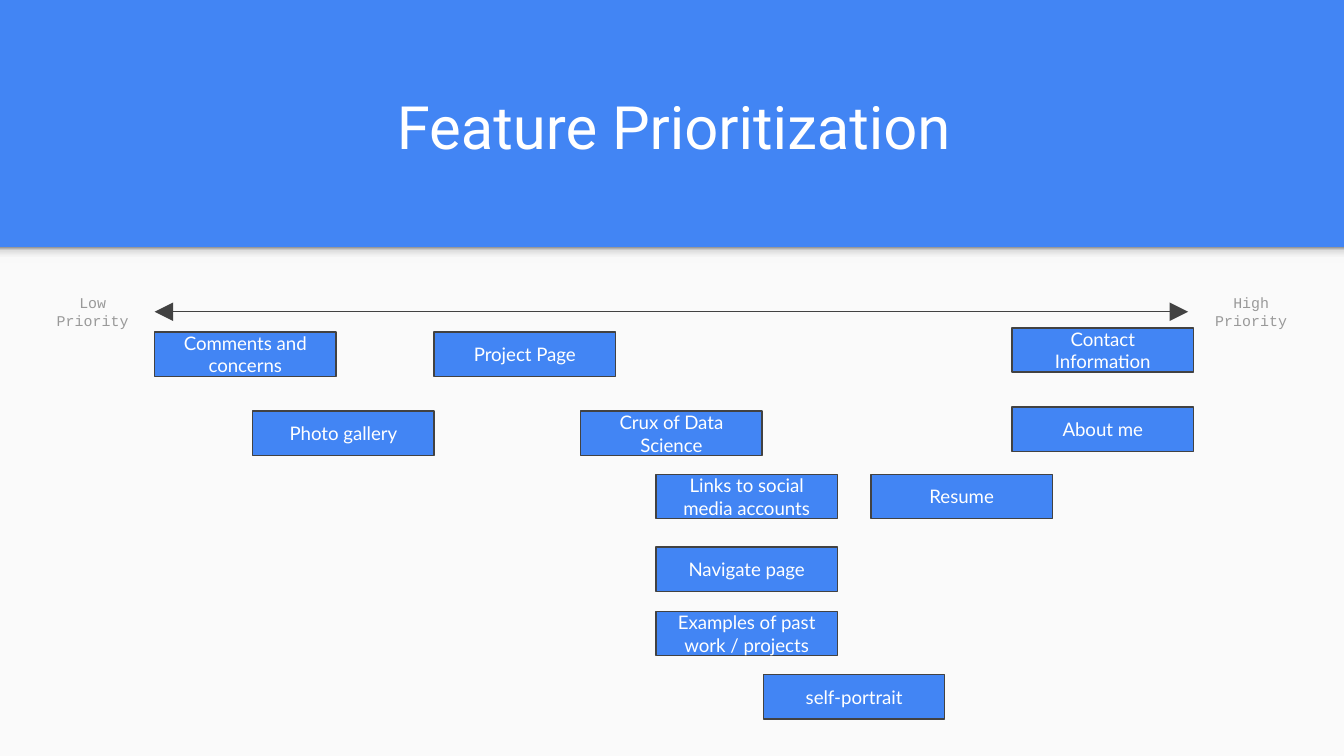
import pptx
import pptx.dml.color
import pptx.enum.dml
import pptx.enum.shapes
import pptx.enum.text
import pptx.oxml
import pptx.oxml.ns
import pptx.util
from pptx.util import Inches

COLORS = {
    "blue": "4285F4",
    "paper": "FAFAFA",
    "ink": "424242",
    "label": "999999",
    "white": "FFFFFF",
}
SLIDE_WIDTH = 10
SLIDE_HEIGHT = SLIDE_WIDTH * 9 / 16
HEADER_HEIGHT = 1.84
SHADE_STOPS = [(0, "F9F9F9"), (36, "F9F9F9"), (80, "DEDEDE"), (100, "999999")]
FEATURE_SIZE = (1.35, 0.33)
FEATURES = [
    ("Comments and concerns", 1.15, 0.63),
    ("Project Page", 3.23, 0.63),
    ("Contact Information", 7.53, 0.6),
    ("Photo gallery", 1.88, 1.22),
    ("Crux of Data Science", 4.32, 1.22),
    ("About me", 7.53, 1.19),
    ("Links to social media accounts", 4.88, 1.69),
    ("Resume", 6.48, 1.69),
    ("Navigate page", 4.88, 2.23),
    ("Examples of past work / projects", 4.88, 2.71),
    ("self-portrait", 5.68, 3.18),
]


def rgb(name):
    return pptx.dml.color.RGBColor.from_string(COLORS[name])


def write_text(shape, text, font, size, color, anchor="MIDDLE"):
    frame = shape.text_frame
    frame.word_wrap = True
    frame.vertical_anchor = pptx.enum.text.MSO_ANCHOR[anchor]
    frame.margin_left = frame.margin_right = Inches(0.1)
    frame.margin_top = frame.margin_bottom = Inches(0.1)
    para = frame.paragraphs[0]
    para.alignment = pptx.enum.text.PP_ALIGN.CENTER
    span = para.add_run()
    span.text = text
    span.font.name = font
    span.font.size = pptx.util.Pt(size)
    span.font.color.rgb = rgb(color)


def add_text(page, box, *style):
    shape = page.shapes.add_textbox(*map(Inches, box))
    write_text(shape, *style)
    return shape


def add_rectangle(page, box, fill, line=None):
    kind = pptx.enum.shapes.MSO_SHAPE.RECTANGLE
    shape = page.shapes.add_shape(kind, *map(Inches, box))
    shape.shadow.inherit = False
    shape.fill.solid()
    shape.fill.fore_color.rgb = rgb(fill)
    if line:
        shape.line.color.rgb = rgb(line)
        shape.line.width = pptx.util.Pt(0.75)
    else:
        shape.line.fill.background()
    return shape


def add_body_panel(page, box):
    left, top, width, height = box
    add_rectangle(page, box, "paper")
    shade = add_rectangle(page, (left, top, width, 0.12), "paper")
    shade.fill.gradient()
    shade.fill.gradient_angle = 90
    stops = shade.element.spPr.find(".//" + pptx.oxml.ns.qn("a:gsLst"))
    for stop in list(stops):
        stops.remove(stop)
    for position, color in SHADE_STOPS:
        stops.append(pptx.oxml.parse_xml(
            f'<a:gs {pptx.oxml.ns.nsdecls("a")} pos="{position * 1000}">'
            f'<a:srgbClr val="{color}"/></a:gs>'))


def add_title(page, box):
    left, top, width, height = box
    title_box = (left + 0.52, top + 0.46, width - 1.01, 0.84)
    add_text(page, title_box, "Feature Prioritization", "Roboto", 32, "white", "BOTTOM")


def add_priority_axis(page, box):
    left, top, width, height = box
    style = ("Courier New", 8, "label")
    low = add_text(page, (left, top, 0.92, height), "Low Priority", *style)
    high = add_text(page, (left + width - 0.94, top, 0.94, height), "High Priority", *style)
    axis = page.shapes.add_connector(pptx.enum.shapes.MSO_CONNECTOR.STRAIGHT, 0, 0, 0, 0)
    axis.begin_connect(low, 3)
    axis.end_connect(high, 1)
    axis.line.color.rgb = rgb("ink")
    axis.line.width = pptx.util.Pt(0.75)
    outline = axis.element.spPr.find(pptx.oxml.ns.qn("a:ln"))
    for end in ("headEnd", "tailEnd"):
        outline.append(pptx.oxml.parse_xml(
            f'<a:{end} {pptx.oxml.ns.nsdecls("a")} type="triangle" w="lg" len="lg"/>'))
    axis.element.spPr.append(pptx.oxml.parse_xml(
        f'<a:effectLst {pptx.oxml.ns.nsdecls("a")}/>'))


def add_features(page, box):
    left, top, width, height = box
    for name, across, down in FEATURES:
        feature = add_rectangle(page, (left + across, top + down, *FEATURE_SIZE), "blue", "ink")
        write_text(feature, name, "Lato", 10, "white")


def main():
    deck = pptx.Presentation()
    deck.slide_width = Inches(SLIDE_WIDTH)
    deck.slide_height = Inches(SLIDE_HEIGHT)
    page = deck.slides.add_slide(deck.slide_layouts[6])
    page.background.fill.solid()
    page.background.fill.fore_color.rgb = rgb("blue")
    body = (0, HEADER_HEIGHT, SLIDE_WIDTH, SLIDE_HEIGHT - HEADER_HEIGHT)
    add_body_panel(page, body)
    add_title(page, (0, 0, SLIDE_WIDTH, HEADER_HEIGHT))
    add_priority_axis(page, (0.23, 2.14, 9.55, 0.36))
    add_features(page, body)
    deck.save("out.pptx")


if __name__ == "__main__":
    main()
